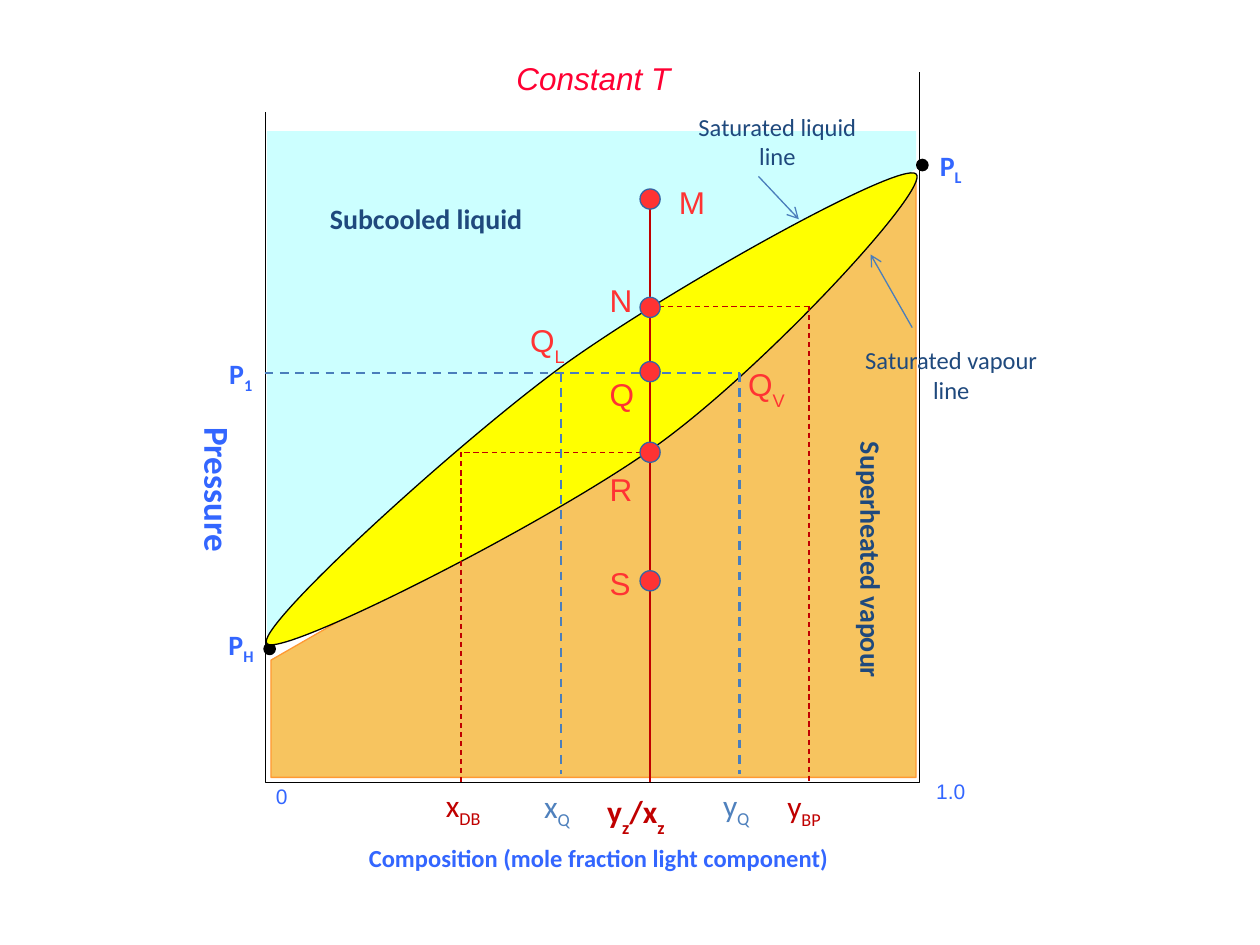
import pptx
import pptx.util
import pptx.dml.color
import pptx.enum.dml
import pptx.enum.shapes
import pptx.enum.text
import pptx.oxml.ns
import lxml.etree

INK = {
    "liquid": "CCFFFF", "vapour": "F7C45F", "rim": "FF9933", "lens": "FFFF00",
    "axis": "000000", "label": "3366FF", "title": "FF0033", "tie": "4A7EBB",
    "share": "4F81BD", "feed": "C00000", "phase": "1F497D", "state": "FF3333",
    "edge": "3465A4",
}
ALIGN = pptx.enum.text.PP_ALIGN
LEFT, MID, RIGHT = ALIGN.LEFT, ALIGN.CENTER, ALIGN.RIGHT
# Columns and rows of the diagram, on a grid of one inch
COL = {"left": 2.11, "dew": 3.66, "xq": 4.45, "feed": 5.16, "yq": 5.87,
       "bubble": 6.42, "right": 7.3}
ROW = {"M": 1.58, "N": 2.44, "Q": 2.95, "R": 3.59, "S": 4.61, "base": 6.21}
TIE, BUBBLE = 2.96, 2.43


def grid(*cells):
    """Turn grid units into whole EMU lengths."""
    return [int(pptx.util.Inches(cell)) for cell in cells]


def tint(name):
    """Return a named colour."""
    return pptx.dml.color.RGBColor.from_string(INK[name])


def paint(shape, fill=None, line=None, width=0.75):
    """Set fill and outline, and drop the shadow."""
    shape.shadow.inherit = False
    if fill:
        shape.fill.solid()
        shape.fill.fore_color.rgb = tint(fill)
    else:
        shape.fill.background()
    if line:
        shape.line.color.rgb = tint(line)
        shape.line.width = pptx.util.Pt(width)
    else:
        shape.line.fill.background()


def area(slide, points, fill=None, line=None, close=True):
    """Draw an outline through the points."""
    spots = [grid(*point) for point in points]
    pen = slide.shapes.build_freeform(*spots[0], scale=1.0)
    pen.add_line_segments(spots[1:], close=close)
    shape = pen.convert_to_shape()
    paint(shape, fill, line)
    return shape


def curve(shape):
    """Join each three straight segments into one Bezier curve."""
    tag = pptx.oxml.ns.qn
    steps = list(shape._element.iter(tag("a:lnTo")))
    for i in range(0, len(steps) - 2, 3):
        bend = lxml.etree.Element(tag("a:cubicBezTo"))
        steps[i].addprevious(bend)
        for step in steps[i:i + 3]:
            bend.append(step[0])
            step.getparent().remove(step)


def dot(slide, x, y, size, fill, line):
    """Draw a round mark centred on a point."""
    kind = pptx.enum.shapes.MSO_SHAPE.OVAL
    box = grid(x - size / 2, y - size / 2, size, size)
    paint(slide.shapes.add_shape(kind, *box), fill, line)


def rule(slide, start, end, color, width=0.75, dash=True, arrow=False):
    """Draw a straight line, dashed or with an arrowhead."""
    kind = pptx.enum.shapes.MSO_CONNECTOR.STRAIGHT
    link = slide.shapes.add_connector(kind, *grid(*start, *end))
    link.line.color.rgb = tint(color)
    link.line.width = pptx.util.Pt(width)
    if dash:
        link.line.dash_style = pptx.enum.dml.MSO_LINE.DASH
    tag = pptx.oxml.ns.qn
    if arrow:
        pen = link.line._get_or_add_ln()
        lxml.etree.SubElement(pen, tag("a:tailEnd"), type="arrow")
    lxml.etree.SubElement(link._element.spPr, tag("a:effectLst"))


def write(shape, text, size, color, face="Calibri", align=LEFT,
          bold=False, italic=False, base=-25):
    """Fill a text frame; underscores switch subscript on and off."""
    frame = shape.text_frame
    frame.word_wrap = True
    frame.auto_size = pptx.enum.text.MSO_AUTO_SIZE.NONE
    frame.vertical_anchor = pptx.enum.text.MSO_ANCHOR.TOP
    if align == LEFT:
        frame.margin_right = 0
    if align == RIGHT:
        frame.margin_left = 0
    for i, row in enumerate(text.split("\n")):
        para = frame.add_paragraph() if i else frame.paragraphs[0]
        para.alignment = align
        font = para.font
        font.size, font.name = pptx.util.Pt(size), face
        font.bold, font.italic = bold, italic
        font.color.rgb = tint(color)
        for j, part in enumerate(row.split("_")):
            run = para.add_run()
            run.text = part
            if j % 2:
                run._r.get_or_add_rPr().set("baseline", str(base * 1000))


def label(slide, box, text, size, color, **style):
    """Add a text box and return it."""
    shape = slide.shapes.add_textbox(*grid(*box))
    write(shape, text, size, color, **style)
    return shape


def fields(slide):
    """Draw the phase regions, axes and two-phase lens."""
    area(slide, [(2.12, 5.04), (2.12, 1.04), (7.27, 1.04), (7.27, 1.34),
                 (4.53, 3.04)], "liquid")
    area(slide, [(2.15, 5.24), (5.35, 3.4), (7.27, 1.4), (7.27, 6.17),
                 (2.15, 6.17)], "vapour", "rim")
    left, right, base = COL["left"], COL["right"], ROW["base"]
    area(slide, [(left, 0.89), (left, base), (right, base), (right, 0.57)],
         line="axis", close=False)
    for x, y in [(2.14, 5.15), (7.32, 1.31)]:
        dot(slide, x, y, 0.09, "axis", "axis")
    curve(area(slide, [
        (2.12, 5.11), (1.99, 5.01), (3.61, 3.53), (4.47, 2.9),
        (5.33, 2.28), (7.15, 1.27), (7.27, 1.38),
        (7.4, 1.48), (6.08, 2.91), (5.22, 3.53),
        (4.36, 4.15), (2.24, 5.22), (2.12, 5.11)], "lens", "axis"))


def guides(slide):
    """Draw the tie line, the feed line and their drops."""
    feed, base = COL["feed"], ROW["base"]
    rule(slide, (2.1, TIE), (COL["yq"], TIE), "tie", 1.25)
    for name in ("xq", "yq"):
        rule(slide, (COL[name], TIE), (COL[name], 6.14), "tie", 1.25)
    rule(slide, (feed, base), (feed, 1.54), "feed", dash=False)
    for name, y in [("dew", ROW["R"]), ("bubble", BUBBLE)]:
        rule(slide, (feed, y), (COL[name], y), "feed")
        rule(slide, (COL[name], y), (COL[name], base), "feed")


def scales(slide):
    """Label the axes and the values on them."""
    for box, text in [((1.85, 6.17, 0.53, 0.7), "0"),
                      ((6.72, 6.13, 1.04, 0.3), "1.0")]:
        label(slide, box, text, 12, "label", face="Arial", align=RIGHT)
    label(slide, (0.64, 6.64, 8.22, 0.34),
          "Composition (mole fraction light component)", 14, "label",
          align=MID, bold=True)
    side = label(slide, (1.43, 2.9, 0.52, 1.97), "Pressure", 20, "label",
                 align=MID, bold=True)
    frame = side.text_frame
    frame.margin_left, frame.margin_right = grid(0.05, 0.05)
    frame.margin_top, frame.margin_bottom = grid(0.1, 0.1)
    frame._txBody.bodyPr.set("vert", "vert")
    for x, y, text in [(7.31, 1.13, "P_L"), (1.69, 4.93, "P_H"),
                       (1.68, 2.78, "P_1")]:
        label(slide, (x, y, 0.42, 0.67), text, 16, "label",
              align=RIGHT, bold=True)
    for x, y, text, color in [
            (4.22, 6.2, "x_Q", "share"), (5.64, 6.19, "y_Q", "share"),
            (3.44, 6.19, "x_DB", "feed"), (6.15, 6.2, "y_BP", "feed")]:
        label(slide, (x, y, 0.56, 0.44), text, 18, color)
    label(slide, (4.72, 6.24, 0.78, 0.46), "y_z_/x_z", 18, "feed",
          bold=True, base=-33)


def phases(slide):
    """Name the regions and the saturation lines."""
    label(slide, (2.52, 1.55, 2.27, 0.36), "Subcooled liquid", 16, "phase",
          bold=True)
    side = label(slide, (5.54, 4.61, 2.76, 0.36), "Superheated vapour", 16,
                 "phase", bold=True)
    side.rotation = 90
    for box, text, start, end in [
            ((6.57, 2.69, 1.96, 0.56), "vapour", (7.24, 2.6), (6.91, 2.02)),
            ((5.29, 0.84, 1.76, 0.56), "liquid", (6.02, 1.4), (6.34, 1.74))]:
        label(slide, box, f"Saturated {text}\nline", 14, "phase", align=MID)
        rule(slide, start, end, "tie", dash=False, arrow=True)


def states(slide):
    """Mark the states along the feed line."""
    for y in ROW.values():
        if y < ROW["base"]:
            dot(slide, COL["feed"], y, 0.16, "state", "edge")
    for x, y, text in [
            (5.29, 1.4, "M"), (4.74, 2.18, "N"), (4.74, 2.93, "Q"),
            (4.74, 3.68, "R"), (4.74, 4.43, "S"),
            (4.11, 2.5, "Q_L"), (5.84, 2.85, "Q_V")]:
        label(slide, (x, y, 0.47, 0.4), text, 18, "state", face="Arial",
              base=-33)


def main():
    """Build and save the slide."""
    deck = pptx.Presentation()
    deck.slide_width, deck.slide_height = grid(10, 7.5)
    slide = deck.slides.add_slide(deck.slide_layouts[5])
    title = slide.shapes.title
    title.left, title.top, title.width, title.height = grid(
        2.12, 0.42, 5.18, 0.4)
    write(title, "Constant T", 18, "title", face="Arial", align=MID,
          italic=True)
    for draw in (fields, guides, scales, phases, states):
        draw(slide)
    deck.save("out.pptx")


main()
